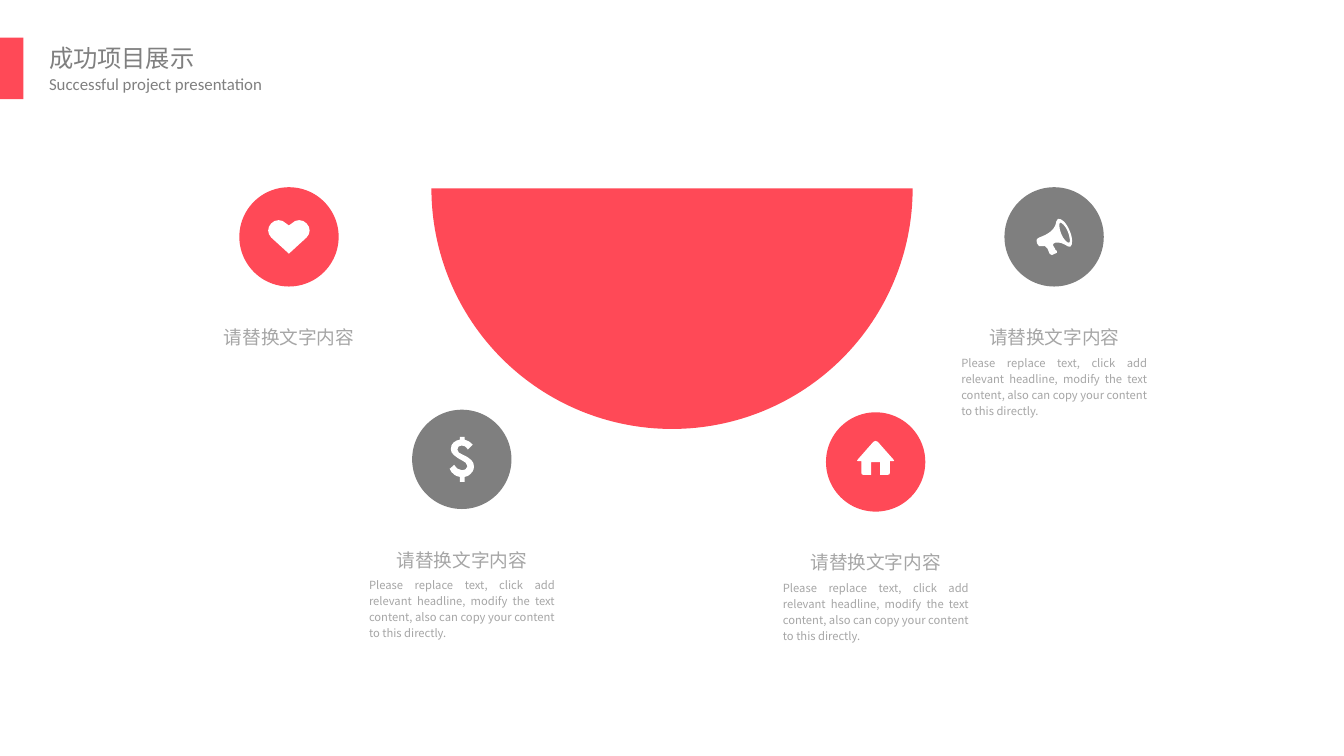
from dataclasses import dataclass

from lxml import etree
from pptx import Presentation
from pptx.dml.color import RGBColor
from pptx.enum import shapes, text
from pptx.oxml.ns import qn
from pptx.util import Pt


@dataclass(frozen=True)
class Theme:
    red: str = "FF4957"
    gray: str = "7F7F7F"
    title: str = "808080"
    muted: str = "A6A6A6"
    white: str = "FFFFFF"
    cjk: str = "Noto Sans CJK SC"
    latin: str = "Calibri"
    title_size: float = 13
    subtitle_size: float = 9
    heading_size: float = 10
    body_size: float = 6


THEME = Theme()

TITLE = "成功项目展示"
SUBTITLE = "Successful project presentation"
HEADING = "请替换文字内容"
BODY = ("Please replace text, click add relevant headline, modify the text content, "
        "also can copy your content to this directly.")

# Outlines on a 100 x 100 grid: each contour is a start point followed by
# lines (x, y) and cubic curves (x1, y1, x2, y2, x, y).
HALF_DISC = [[(50, 100), (63, 100, 76, 95, 85.36, 70.71), (95, 51.5, 100, 26, 100, 0),
              (0, 0), (0, 26, 5, 51.5, 14.64, 70.71), (24, 90, 37, 100, 50, 100)]]
HEART = [[(93, 10), (84, -3, 66, -3, 57, 10), (50, 16), (43, 10),
          (34, -3, 16, -3, 7, 10), (-3, 22, -3, 40, 7, 52), (50, 100), (93, 52),
          (103, 40, 103, 22, 93, 10)]]
HOUSE = [[(97, 54), (56, 3), (53, -1, 47, -1, 44, 3), (3, 54), (-1, 58, 0, 60, 3, 60),
          (12, 60), (12, 95), (12, 99, 14, 100, 17, 100), (38, 100), (38, 63), (62, 63),
          (62, 100), (83, 100), (86, 100, 88, 99, 88, 95), (88, 60), (97, 60),
          (100, 60, 101, 58, 97, 54)]]
DOLLAR = [[(95, 17), (75, 28), (67, 21, 58, 19, 49, 19), (38, 19, 32, 23, 32, 28),
           (32, 34, 40, 36, 52, 39), (68, 43, 80, 46, 90, 52), (97, 56, 100, 60, 100, 66),
           (100, 74, 92, 80, 85, 83), (78, 87, 71, 88, 62, 89), (62, 100), (42, 100),
           (42, 89), (32, 88, 25, 87, 19, 84), (10, 81, 4, 76, 0, 71), (19, 62),
           (27, 70, 38, 74, 50, 74), (63, 74, 73, 71, 73, 65), (73, 59, 63, 56, 50, 52),
           (35, 48, 26, 44, 19, 41), (9, 37, 5, 33, 5, 27), (5, 20, 9, 15, 17, 12),
           (25, 8, 33, 7, 42, 6), (42, 0), (62, 0), (62, 6), (75, 8, 86, 11, 95, 17)]]
MEGAPHONE = [[(93, 66), (88, 68, 77, 58, 70, 41), (64, 26, 64, 13, 67, 11),
              (71, 10, 83, 20, 89, 36), (95, 50, 96, 65, 93, 66)],
             [(94, 33), (85, 11, 69, -3, 61, 1), (50, 5, 68, 31, 8, 52),
              (-1, 56, -1, 62, 2, 68), (4, 75, 10, 78, 18, 76), (20, 76, 22, 75, 24, 75),
              (27, 80, 30, 79, 32, 83), (34, 88, 36, 93, 38, 97), (39, 99, 42, 100, 44, 100),
              (58, 94), (60, 93, 60, 91, 58, 89), (54, 88, 54, 84, 52, 81),
              (50, 78, 47, 74, 47, 72), (47, 69, 51, 67, 54, 66), (80, 63, 88, 81, 96, 77),
              (103, 74, 103, 52, 94, 33)]]

# The half disc is an exact half ellipse made of four equal arcs.
ARC = 26.52
HALF_DISC = [[(50, 100), (50 + ARC / 2, 100, 50 + 35.36 - 9.38, 70.71 + 18.75, 85.36, 70.71),
              (85.36 + 9.38, 70.71 - 18.75, 100, ARC, 100, 0), (0, 0),
              (0, ARC, 14.64 - 9.38, 70.71 - 18.75, 14.64, 70.71),
              (14.64 + 9.38, 70.71 + 18.75, 50 - ARC / 2, 100, 50, 100)]]

# centre x, centre y, disc colour, icon, icon width, icon height, icon lift, body
ITEMS = [
    (154.8, 126.9, THEME.red, HEART, 22, 18, 0, None),
    (247.4, 246.1, THEME.gray, DOLLAR, 13, 24, 0, BODY),
    (469.1, 247.5, THEME.red, HOUSE, 20, 18.2, 2.2, BODY),
    (564.7, 126.9, THEME.gray, MEGAPHONE, 19, 19.5, 0, BODY),
]

DISC = 53.2
HEADING_BOX = (87.1, 14.4, 45.4)  # width, height, drop below the disc centre
BODY_BOX = (99.4, 34.6, 62.4)
GRID = 100


def paint(shape, color):
    shape.shadow.inherit = False
    shape.fill.solid()
    shape.fill.fore_color.rgb = RGBColor.from_string(color)
    shape.line.fill.background()


def add_step(outline, tag, numbers):
    step = etree.SubElement(outline, qn(tag))
    for x, y in zip(numbers[::2], numbers[1::2]):
        point = etree.SubElement(step, qn("a:pt"))
        point.set("x", str(round(x * GRID)))
        point.set("y", str(round(y * GRID)))


def add_outline(page, contours, left, top, width, height, color):
    """Build a freeform frame, then give it the contours with true curves."""
    right, bottom = Pt(left + width), Pt(top + height)
    builder = page.shapes.build_freeform(Pt(left), Pt(top))
    builder.add_line_segments([(right, Pt(top)), (right, bottom), (Pt(left), bottom)])
    shape = builder.convert_to_shape()
    outline = next(shape._element.iter(qn("a:path")))
    for old in list(outline):
        outline.remove(old)
    outline.set("w", str(100 * GRID))
    outline.set("h", str(100 * GRID))
    for start, *segments in contours:
        add_step(outline, "a:moveTo", start)
        for segment in segments:
            add_step(outline, "a:lnTo" if len(segment) == 2 else "a:cubicBezTo", segment)
        etree.SubElement(outline, qn("a:close"))
    paint(shape, color)


def add_text(page, words, left, top, width, height, size, color, font=THEME.cjk,
             align=text.PP_ALIGN.LEFT, anchor=text.MSO_ANCHOR.TOP,
             inset=(0, 0), wrap=True, spacing=None):
    box = page.shapes.add_textbox(Pt(left), Pt(top), Pt(width), Pt(height))
    frame = box.text_frame
    frame.text = words
    frame.word_wrap = wrap
    frame.auto_size = text.MSO_AUTO_SIZE.SHAPE_TO_FIT_TEXT
    frame.vertical_anchor = anchor
    frame.margin_left = frame.margin_right = Pt(inset[0])
    frame.margin_top = frame.margin_bottom = Pt(inset[1])
    para = frame.paragraphs[0]
    para.alignment = align
    para.line_spacing = spacing
    span = para.runs[0]
    span.font.size = Pt(size)
    span.font.name = font
    span.font.color.rgb = RGBColor.from_string(color)
    etree.SubElement(span.font._element, qn("a:ea")).set("typeface", font)


def add_header(page):
    bar = page.shapes.add_shape(shapes.MSO_SHAPE.RECTANGLE, 0, Pt(20.2), Pt(12.6), Pt(33))
    paint(bar, THEME.red)
    add_text(page, TITLE, 20.9, 20.2, 90, 20.9, THEME.title_size, THEME.title,
             inset=(5.4, 2.7), wrap=False)
    add_text(page, SUBTITLE, 20.9, 36.7, 126.7, 16.6, THEME.subtitle_size, THEME.title,
             font=THEME.latin, inset=(5.4, 2.7), wrap=False)


def add_item(page, x, y, color, icon, width, height, lift, body):
    disc = page.shapes.add_shape(shapes.MSO_SHAPE.OVAL, Pt(x - DISC / 2), Pt(y - DISC / 2),
                                 Pt(DISC), Pt(DISC))
    paint(disc, color)
    add_outline(page, icon, x - width / 2, y - lift - height / 2, width, height, THEME.white)
    wide, tall, drop = HEADING_BOX
    add_text(page, HEADING, x - wide / 2, y + drop, wide, tall, THEME.heading_size,
             THEME.muted, align=text.PP_ALIGN.CENTER, anchor=text.MSO_ANCHOR.MIDDLE,
             spacing=1.2)
    if body:
        wide, tall, drop = BODY_BOX
        add_text(page, body, x - wide / 2, y + drop, wide, tall, THEME.body_size,
                 THEME.muted, align=text.PP_ALIGN.JUSTIFY, spacing=1.2)


def main():
    deck = Presentation()
    deck.slide_width, deck.slide_height = Pt(720), Pt(405)
    page = deck.slides.add_slide(deck.slide_layouts[6])
    add_header(page)
    add_outline(page, HALF_DISC, 231.1, 100.9, 257.8, 128.9, THEME.red)
    for item in ITEMS:
        add_item(page, *item)
    deck.save("out.pptx")


if __name__ == "__main__":
    main()
